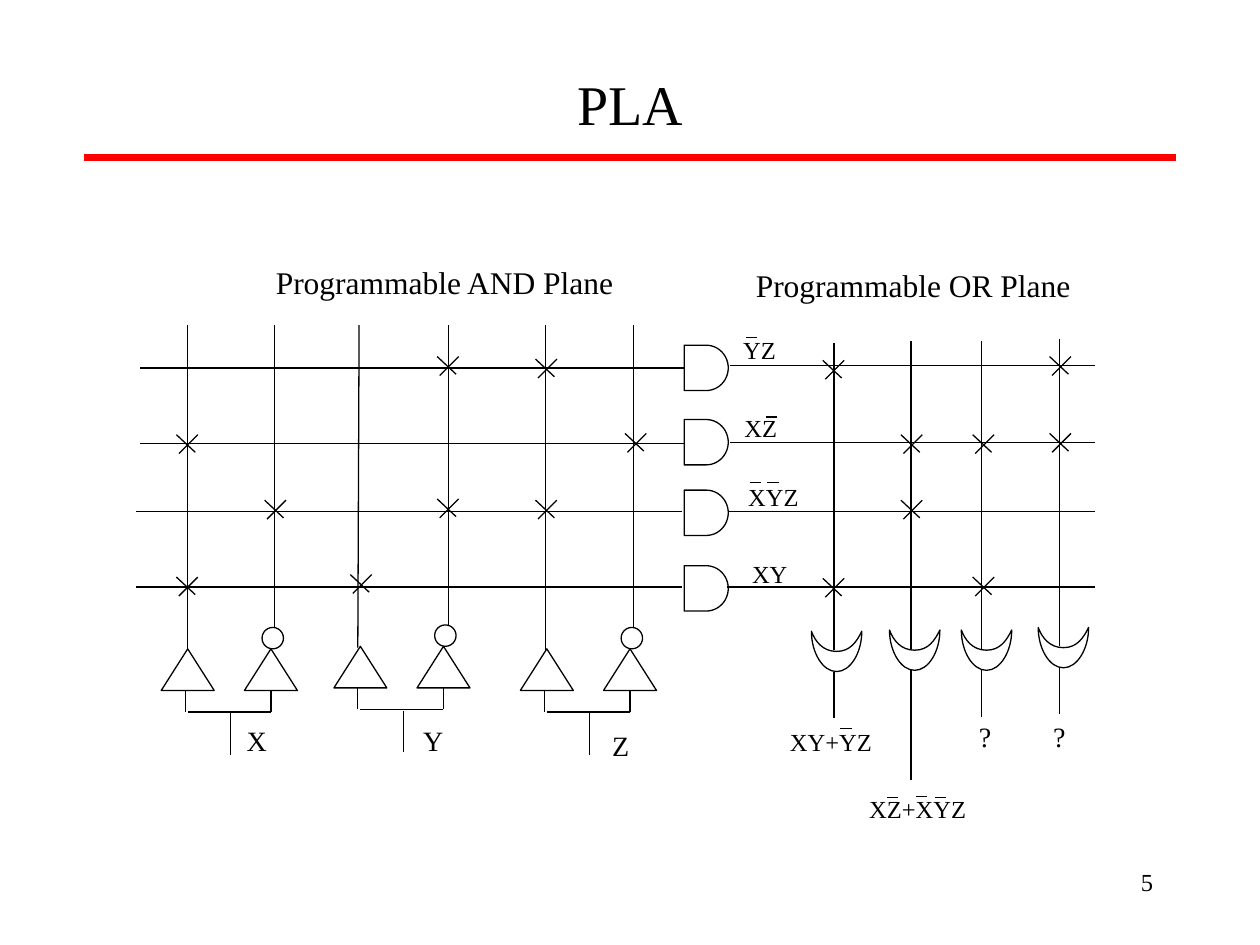
import pptx
import pptx.util
import pptx.dml.color
import pptx.enum.shapes
import pptx.enum.text
import pptx.oxml.ns
import lxml.etree

SCALE = 9144
FONT = "Times New Roman"
BLACK, WHITE, RED = "000000", "FFFFFF", "FF0000"
SHAPE = pptx.enum.shapes.MSO_SHAPE
ALIGN = pptx.enum.text.PP_ALIGN
ANCHOR = pptx.enum.text.MSO_ANCHOR
FIT = pptx.enum.text.MSO_AUTO_SIZE
MOON = [
    (24, 3), (16, 9), (16, 20),
    (16, 31), (24, 36), (32, 40),
    (15, 40), (0, 31), (0, 20),
    (0, 9), (15, 0), (32, 0),
]


def px(value):
    return pptx.util.Emu(value * SCALE)


def color(code):
    return pptx.dml.color.RGBColor.from_string(code)


def line(slide, x1, y1, x2, y2, code=BLACK, width=0.75):
    wire = slide.shapes.add_connector(
        pptx.enum.shapes.MSO_CONNECTOR.STRAIGHT, px(x1), px(y1), px(x2), px(y2))
    wire.line.color.rgb = color(code)
    wire.line.width = pptx.util.Pt(width)
    props = wire._element.spPr
    lxml.etree.SubElement(props, pptx.oxml.ns.qn("a:effectLst"))


def paint(shape):
    shape.shadow.inherit = False
    shape.fill.solid()
    shape.fill.fore_color.rgb = color(WHITE)
    shape.line.color.rgb = color(BLACK)
    shape.line.width = pptx.util.Pt(0.75)


def gate(slide, kind, x, y, w, h):
    paint(slide.shapes.add_shape(kind, px(x), px(y), px(w), px(h)))


def write(frame, text, size, align=ALIGN.LEFT):
    frame.text = text
    para = frame.paragraphs[0]
    para.alignment = align
    para.font.size = pptx.util.Pt(size)
    para.font.name = FONT
    para.font.color.rgb = color(BLACK)


def label(slide, x, y, w, h, text, size, bars=()):
    box = slide.shapes.add_textbox(px(x), px(y), px(w), px(h))
    box.text_frame.word_wrap = False
    box.text_frame.auto_size = FIT.SHAPE_TO_FIT_TEXT
    write(box.text_frame, text, size)
    for dx, dy in bars:
        line(slide, x + dx, y + dy, x + dx + 9, y + dy)


def cross(slide, x, y):
    line(slide, x + 17, y, x + 2, y + 15)
    line(slide, x, y, x + 15, y + 14)


def curve(shape):
    qn = pptx.oxml.ns.qn
    steps = list(shape._element.iter(qn("a:lnTo")))
    for first in range(0, len(steps), 3):
        bend = lxml.etree.Element(qn("a:cubicBezTo"))
        steps[first].addprevious(bend)
        for step in steps[first:first + 3]:
            bend.append(step[0])
            step.getparent().remove(step)


def or_gate(slide, x, y):
    form = slide.shapes.build_freeform(32, 0, scale=SCALE)
    form.add_line_segments(MOON, close=True)
    shape = form.convert_to_shape(px(x + 4), px(y - 4))
    curve(shape)
    shape.rotation = 270
    paint(shape)


def title(slide, x, y, w, h):
    head = slide.shapes.title
    head.left, head.top, head.width, head.height = px(x), px(y), px(w), px(h)
    head.text_frame.vertical_anchor = ANCHOR.MIDDLE
    write(head.text_frame, "PLA", 32, ALIGN.CENTER)
    line(slide, x + 9, y + 75, x + 875, y + 75, RED, 4.5)


def input_pair(slide, x, y, wires):
    for dx in (0, 66):
        gate(slide, SHAPE.ISOSCELES_TRIANGLE, x + dx, y, 42, 33)
    gate(slide, SHAPE.OVAL, x + 80, y - 17, 17, 17)
    for dx in (19, 87):
        line(slide, x + dx, y + 33, x + dx, y + 50)
    line(slide, x + 21, y + 50, x + 87, y + 50)
    line(slide, x + 55, y + 51, x + 55, y + 84)
    for (low, high, left, marks), end in zip(wires, (y + 1, y - 17)):
        line(slide, low, end, high, 258)
        for mark in marks:
            cross(slide, left, mark)


def and_plane(slide):
    for row, start in ((292, 111), (352, 111), (406, 108), (466, 108)):
        line(slide, start, row, start + 433, row)
    input_pair(slide, 128, 515, ((149, 149, 140, (345, 458)), (218, 218, 210, (397,))))
    input_pair(slide, 265, 513, ((284, 285, 278, (456,)), (356, 356, 347, (283, 396))))
    input_pair(slide, 413, 515, ((433, 433, 425, (285, 397)), (503, 503, 496, (344,))))
    for top in (274, 333, 389, 449):
        gate(slide, SHAPE.FLOWCHART_DELAY, 543, top, 35, 36)
    label(slide, 209, 204, 289, 40, "Programmable AND Plane", 18)
    label(slide, 186, 569, 36, 37, "X", 16)
    label(slide, 326, 569, 36, 37, "Y", 16)
    label(slide, 476, 573, 33, 37, "Z", 16)


def output(slide, x, y, end, left, marks):
    line(slide, x, y, x, y + 244)
    or_gate(slide, left - 9, y + 229)
    line(slide, x, y + 261, x, end)
    for mark in marks:
        cross(slide, left, mark)


def or_plane(slide):
    for row, start in ((290, 579), (351, 579), (406, 578), (466, 577)):
        line(slide, start, row, 869, row)
    output(slide, 662, 272, 570, 653, (286, 459))
    output(slide, 723, 271, 619, 715, (345, 397))
    output(slide, 779, 271, 569, 772, (345, 458))
    output(slide, 841, 269, 567, 833, (283, 344))
    label(slide, 590, 206, 270, 40, "Programmable OR Plane", 18)
    label(slide, 580, 261, 46, 34, "YZ", 14, [(12, 7)])
    label(slide, 581, 323, 46, 34, "XZ", 14, [(27, 8)])
    label(slide, 584, 378, 60, 34, "XYZ", 14, [(11, 5), (25, 5)])
    label(slide, 587, 439, 48, 34, "XY", 14)
    label(slide, 617, 572, 85, 34, "XY+YZ", 14, [(50, 6)])
    label(slide, 680, 625, 97, 34, "XZ+XYZ", 14, [(24, 8), (47, 7), (62, 8)])
    for x in (767, 826):
        label(slide, x, 566, 30, 37, "?", 16)


def number(slide, x, y, w, h):
    box = slide.shapes.add_textbox(px(x), px(y), px(w), px(h))
    box.text_frame.word_wrap = True
    write(box.text_frame, "5", 14, ALIGN.RIGHT)


def main():
    deck = pptx.Presentation()
    deck.slide_width, deck.slide_height = px(1000), px(750)
    slide = deck.slides.add_slide(deck.slide_layouts[5])
    title(slide, 58, 50, 884, 64)
    and_plane(slide)
    or_plane(slide)
    number(slide, 717, 683, 208, 50)
    deck.save("out.pptx")


if __name__ == "__main__":
    main()
